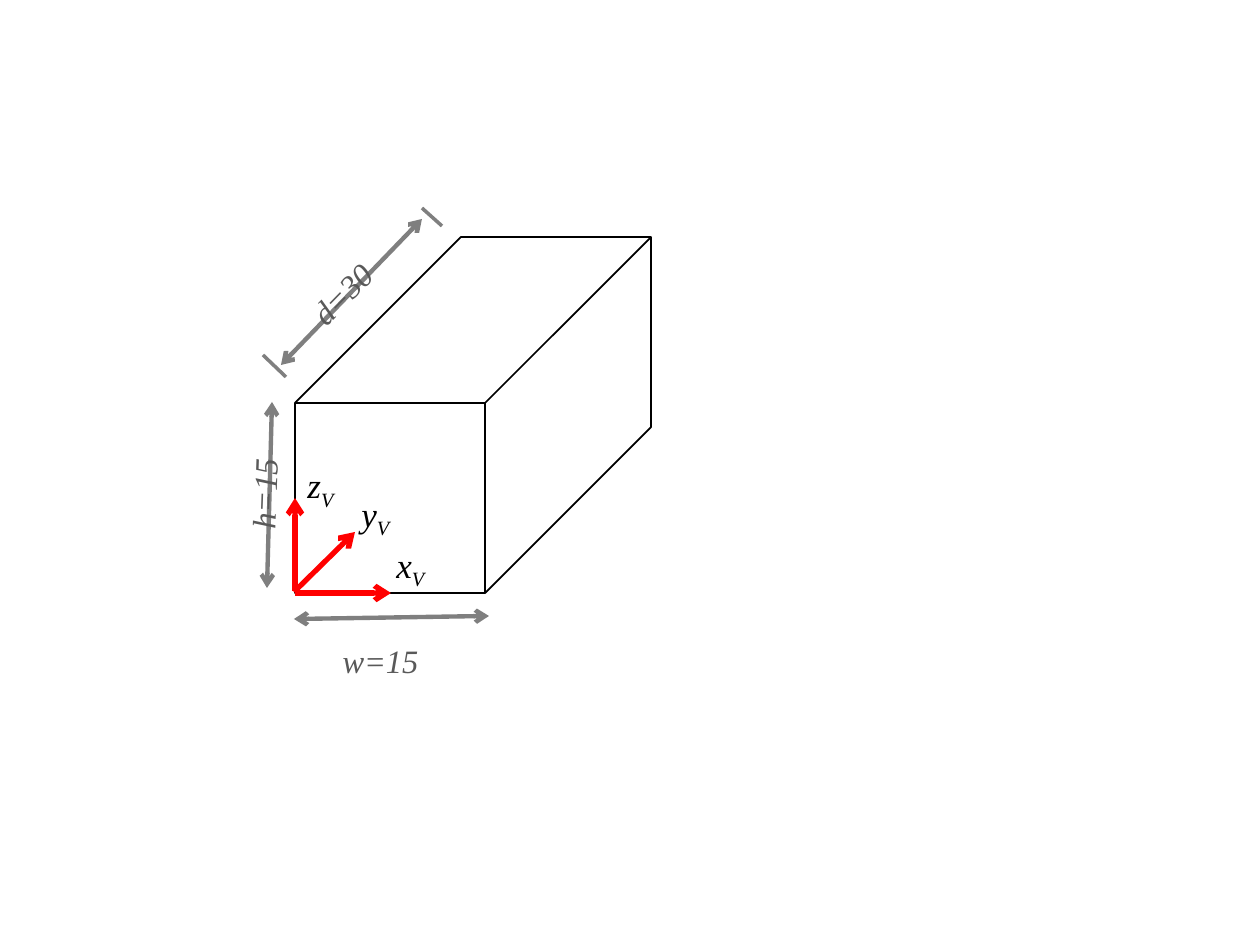
from lxml import etree
from pptx import Presentation, util as u
from pptx.dml.color import RGBColor
from pptx.enum import shapes as s, text as t
from pptx.oxml.ns import qn

SCALE = 914400 / 126
GREY, DARK, RED, BLACK = "7F7F7F", "595959", "FF0000", "000000"


def px(length):
    """Turn pixels into EMU."""
    return u.Emu(round(length * SCALE))


def color(value):
    """Turn a hex string into a colour."""
    return RGBColor.from_string(value)


def add_line(parent, origin, ends, shade, width, arrows=()):
    """Draw a line between two points given from the origin."""
    x, y = origin
    x1, y1, x2, y2 = ends
    line = parent.add_connector(s.MSO_CONNECTOR.STRAIGHT,
                                px(x + x1), px(y + y1), px(x + x2), px(y + y2))
    line.line.color.rgb = color(shade)
    line.line.width = u.Pt(width)
    for arrow in arrows:
        etree.SubElement(line.line._get_or_add_ln(), qn("a:" + arrow), type="arrow")
    etree.SubElement(line._element.spPr, qn("a:effectLst"))


def add_label(parent, box, runs, shade, size, angle=0):
    """Write an italic label; each run is its text and whether it is lowered."""
    label = parent.add_textbox(*map(px, box))
    label.rotation = angle
    frame = label.text_frame
    frame.word_wrap = True
    frame.auto_size = t.MSO_AUTO_SIZE.SHAPE_TO_FIT_TEXT
    for words, lowered in runs:
        run = frame.paragraphs[0].add_run()
        run.text = words
        run.font.name = "Times New Roman"
        run.font.size = u.Pt(size)
        run.font.italic = True
        run.font.color.rgb = color(shade)
        if lowered:
            run.font._element.set("baseline", "-25000")


def add_cuboid(parent, left, top, side):
    """Draw the outlined volume."""
    cuboid = parent.add_shape(s.MSO_SHAPE.CUBE, *map(px, (left, top, side, side)))
    cuboid.adjustments[0] = 0.466
    cuboid.fill.background()
    cuboid.line.color.rgb = color(BLACK)
    cuboid.line.width = u.Pt(1)
    cuboid.shadow.inherit = False


def add_dimensions(parent, left, top):
    """Draw depth, width and height measures around the cuboid."""
    origin = left, top
    for tick in ((147, -11, 127, -29), (-9, 140, -32, 118)):
        add_line(parent, origin, tick, GREY, 2)
    measures = (
        ("d=30", (127, -18, -14, 128), (-35, -19), 314.3, False),
        ("w=15", (194, 379, -1, 382), (35, 360), 359.7, True),
        ("h=15", (-23, 165, -28, 351), (-144, 195), 271.9, True),
    )
    for words, ends, (x, y), angle, grouped in measures:
        holder = parent.add_group_shape().shapes if grouped else parent
        add_line(holder, origin, ends, GREY, 2.5, ("headEnd", "tailEnd"))
        add_label(holder, (left + x, top + y, 159, 58), [(words, True)], DARK, 32, angle)


def add_axes(parent, left, base):
    """Draw the red axes and their names from the front lower corner."""
    for ends in ((0, -2, 0, -95), (0, 0, 96, 0), (-1, -1, 60, -61)):
        add_line(parent, (left, base), ends, RED, 3, ("tailEnd",))
    for axis, x, y in (("x", 89, -56), ("y", 54, -107), ("z", 0, -136)):
        add_label(parent, (left + x, base + y, 93, 55),
                  [(axis, False), ("V", True)], BLACK, 20)


def build_volume(parent, left, top, side):
    """Place the measured volume with its coordinate axes."""
    add_cuboid(parent, left, top, side)
    add_dimensions(parent, left, top)
    add_axes(parent, left, top + side)


deck = Presentation()
deck.slide_width, deck.slide_height = px(1260), px(945)
slide = deck.slides.add_slide(deck.slide_layouts[6])
build_volume(slide.shapes, 295, 237, 356)
deck.save("out.pptx")
